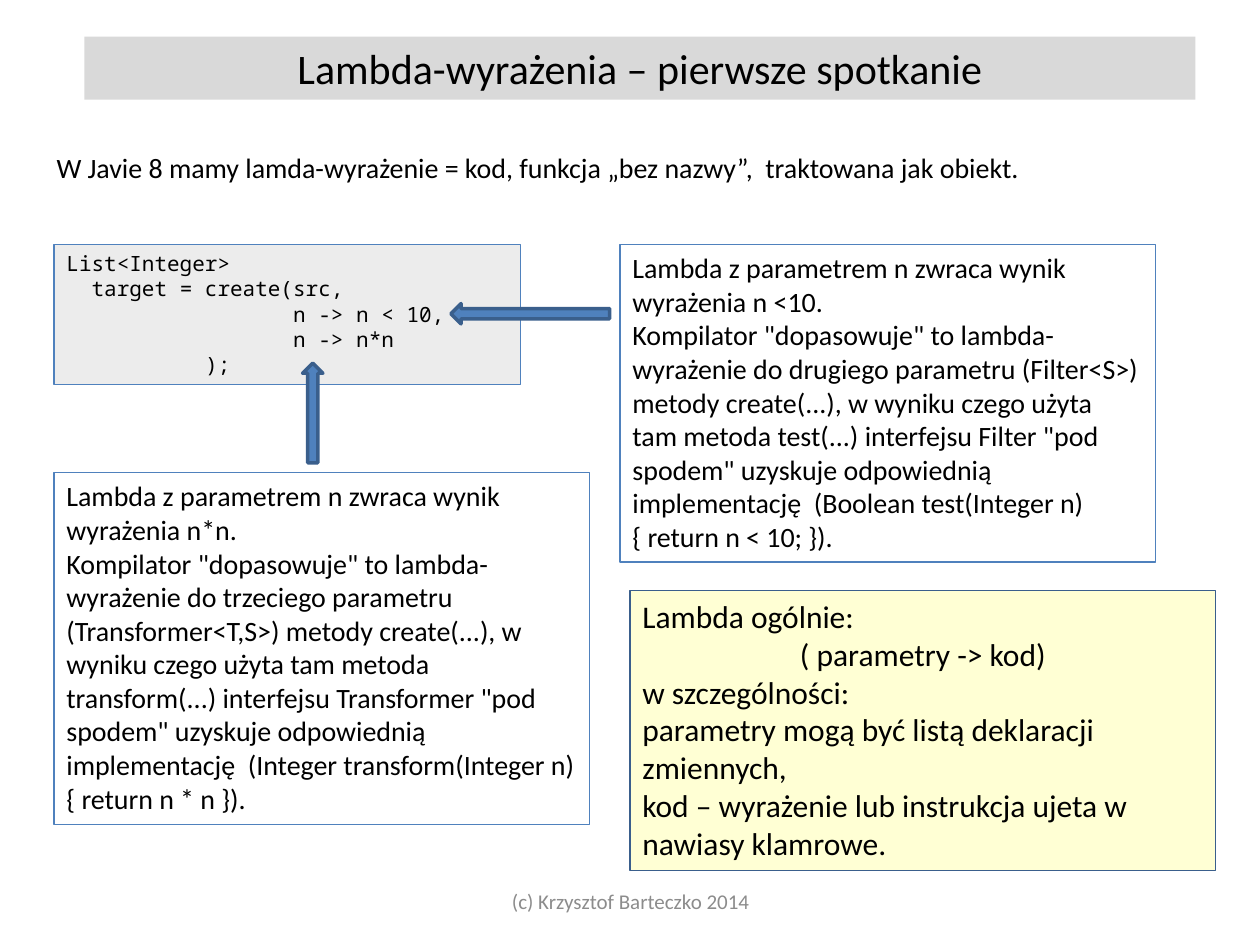
from dataclasses import dataclass

from lxml.etree import SubElement
from pptx import Presentation
from pptx.dml.color import RGBColor
from pptx.enum.shapes import MSO_SHAPE as Preset
from pptx.enum.text import MSO_ANCHOR as Anchor, MSO_AUTO_SIZE as AutoSize, PP_ALIGN as Align
from pptx.oxml.ns import qn
from pptx.util import Cm, Pt


@dataclass(frozen=True)
class Theme:
    """Colours, fonts and type sizes of the slide."""
    ink: str = "000000"
    muted: str = "8C8C8C"
    grey: str = "D9D9D9"
    yellow: str = "FFFF00"
    blue: str = "4F81BD"
    navy: str = "3A5F8C"
    body_font: str = "Calibri"
    code_font: str = "Noto Sans Mono"
    title_size: int = 24
    summary_size: int = 18
    body_size: int = 16
    small_size: int = 12
    border: float = 0.75
    arrow_border: float = 2


THEME = Theme()
CODE_COLUMN = 0.254
LEFT, TOP, NOTE_WIDTH = 1.09, 4.93, 10.8

CODE = [
    (0, "List<Integer>"),
    (2, "target = create(src,"),
    (18, "n -> n < 10,"),
    (18, "n -> n*n"),
    (11, ");"),
]
SUMMARY = [
    "Lambda ogólnie:",
    "( parametry -> kod)",
    "w szczególności:",
    "parametry mogą być listą deklaracji zmiennych,",
    "kod – wyrażenie lub instrukcja ujeta w nawiasy klamrowe.",
]


def set_fill(part, color, opacity=100):
    """Fill a part with a colour at an opacity in percent."""
    part.fill.solid()
    part.fill.fore_color.rgb = RGBColor.from_string(color)
    if opacity < 100:
        tint = part._element.spPr.find(f"{qn('a:solidFill')}/{qn('a:srgbClr')}")
        SubElement(tint, qn("a:alpha"), val=str(opacity * 1000))


def set_line(part, color, width):
    """Outline a part."""
    part.line.color.rgb = RGBColor.from_string(color)
    part.line.width = Pt(width)


def add_text(slide, box, lines, size, color=THEME.ink, font=THEME.body_font, align=Align.LEFT):
    """Add a wrapped text box with one paragraph for each line."""
    block = slide.shapes.add_textbox(*map(Cm, box))
    frame = block.text_frame
    frame.word_wrap = True
    frame.auto_size = AutoSize.SHAPE_TO_FIT_TEXT
    for index, line in enumerate(lines):
        paragraph = frame.paragraphs[0] if index == 0 else frame.add_paragraph()
        paragraph.alignment = align
        run = paragraph.add_run()
        run.text = line
        run.font.name = font
        run.font.size = Pt(size)
        run.font.color.rgb = RGBColor.from_string(color)
    return block


def add_code(slide, box, lines):
    """Add a code panel whose lines are indented by character columns."""
    panel = add_text(slide, box, [line for _, line in lines], THEME.small_size,
                     font=THEME.code_font)
    set_fill(panel, THEME.grey, 48)
    set_line(panel, THEME.blue, THEME.border)
    for paragraph, (column, _) in zip(panel.text_frame.paragraphs, lines):
        paragraph._p.get_or_add_pPr().set("marL", str(Cm(column * CODE_COLUMN)))


def add_note(slide, box, expression, ordinal, parameter, method, interface, implementation):
    """Add an explanation of one lambda argument."""
    note = add_text(slide, box, [
        f"Lambda z parametrem n zwraca wynik wyrażenia {expression}.",
        f'Kompilator "dopasowuje" to lambda-wyrażenie do {ordinal} parametru ({parameter}) '
        f"metody create(...), w wyniku czego użyta tam metoda {method}(...)\u00a0interfejsu "
        f'{interface} "pod spodem" uzyskuje odpowiednią implementację \u00a0({implementation}).',
    ], THEME.body_size)
    set_line(note, THEME.blue, THEME.border)


def add_arrow(slide, preset, box):
    """Add a block arrow."""
    arrow = slide.shapes.add_shape(preset, *map(Cm, box))
    arrow.shadow.inherit = False
    set_fill(arrow, THEME.blue)
    set_line(arrow, THEME.navy, THEME.arrow_border)


def main():
    """Build and save the slide."""
    deck = Presentation()
    deck.slide_width, deck.slide_height = Cm(25.4), Cm(19.05)
    slide = deck.slides.add_slide(deck.slide_layouts[6])

    footer = add_text(slide, (8.69, 17.65, 8.05, 1.02), ["(c) Krzysztof Barteczko 2014"],
                      THEME.small_size, THEME.muted, align=Align.CENTER)
    footer.text_frame.auto_size = AutoSize.NONE
    footer.text_frame.vertical_anchor = Anchor.MIDDLE

    title = add_text(slide, (1.7, 0.74, 22.4, 1.27), ["Lambda-wyrażenia – pierwsze spotkanie"],
                     THEME.title_size, align=Align.CENTER)
    set_fill(title, THEME.grey)

    add_text(slide, (0.89, 2.92, 23.8, 0.94),
             ["W Javie 8 mamy lamda-wyrażenie = kod, funkcja „bez nazwy”, \u00a0traktowana jak obiekt."],
             THEME.body_size)

    add_code(slide, (LEFT, TOP, 9.4, 2.82), CODE)
    add_arrow(slide, Preset.LEFT_ARROW, (9.09, 6.12, 3.2, 0.41))
    add_note(slide, (12.5, TOP, NOTE_WIDTH, 6.4), "n <10", "drugiego", "Filter<S>",
             "test", "Filter", "Boolean test(Integer n) { return n < 10; }")
    add_note(slide, (LEFT, 9.53, NOTE_WIDTH, 7.09), "n*n", "trzeciego", "Transformer<T,S>",
             "transform", "Transformer", "Integer transform(Integer n) { return n * n }")
    add_arrow(slide, Preset.UP_ARROW, (6.1, 7.32, 0.41, 2.01))

    summary = add_text(slide, (12.7, 11.91, 11.81, 5.64), SUMMARY, THEME.summary_size)
    summary.text_frame.paragraphs[1].alignment = Align.CENTER
    set_fill(summary, THEME.yellow, 17)
    set_line(summary, THEME.navy, THEME.border)

    deck.save("out.pptx")


main()
